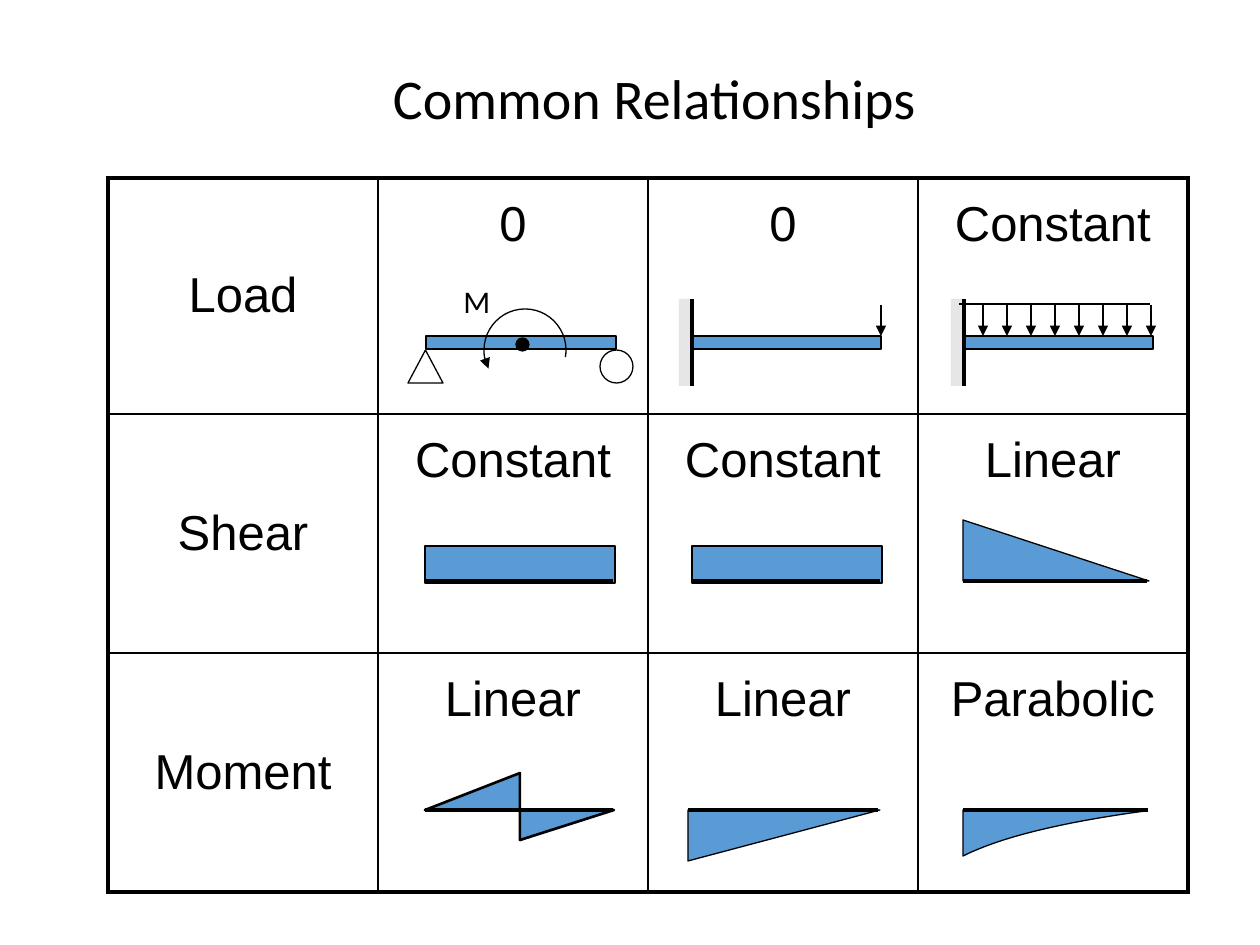
from pptx import Presentation, util as u
from pptx.dml.color import RGBColor
from pptx.enum import shapes as sh, text as tx
from pptx.oxml import parse_xml
from pptx.oxml.ns import nsdecls, qn

BLACK = RGBColor(0, 0, 0)
BLUE = RGBColor(0x5B, 0x9B, 0xD5)
GRAY = RGBColor(0xE7, 0xE6, 0xE6)
SCALE = 914400 / 126
THIN, MID, BOLD = 0.75, 1.5, 2.25
COL, ROWS = 270, (236, 239, 239)
WORDS = (
    ("Load", "0", "0", "Constant"),
    ("Shear", "Constant", "Constant", "Linear"),
    ("Moment", "Linear", "Linear", "Parabolic"),
)


def px(n):
    """Turn px into EMU."""
    return u.Emu(round(n * SCALE))


def paint(shape, fill, width):
    """Set the fill and outline of a shape."""
    shape.shadow.inherit = False
    if fill is None:
        shape.fill.background()
    else:
        shape.fill.solid()
        shape.fill.fore_color.rgb = fill
    if width:
        shape.line.color.rgb = BLACK
        shape.line.width = u.Pt(width)
    else:
        shape.line.fill.background()
    return shape


def form(slide, kind, x, y, w, h, fill=None, width=THIN):
    """Add a preset shape."""
    shape = slide.shapes.add_shape(kind, px(x), px(y), px(w), px(h))
    return paint(shape, fill, width)


def tip(shape, end):
    """Put a triangle arrowhead on a line end."""
    shape.line._get_or_add_ln().append(
        parse_xml(f'<a:{end} {nsdecls("a")} type="triangle"/>'))


def rule(slide, x, y, to_x, to_y, width=BOLD, arrow=False):
    """Add a straight line, with an arrowhead if asked."""
    line = slide.shapes.add_connector(
        sh.MSO_CONNECTOR.STRAIGHT, px(x), px(y), px(to_x), px(to_y))
    line.line.color.rgb = BLACK
    line.line.width = u.Pt(width)
    if arrow:
        tip(line, "tailEnd")
    line._element.spPr.append(parse_xml(f'<a:effectLst {nsdecls("a")}/>'))


def area(slide, x, y, points, width=THIN):
    """Add a closed blue outline with points relative to x, y."""
    spots = [(px(x + a), px(y + b)) for a, b in points]
    pen = slide.shapes.build_freeform(*spots[0], scale=1.0)
    pen.add_line_segments(spots[1:], close=True)
    paint(pen.convert_to_shape(), BLUE, width)


def write(frame, words, size, font, align):
    """Put one styled run in a text frame."""
    para = frame.paragraphs[0]
    para.alignment = align
    run = para.add_run()
    run.text = words
    run.font.size = u.Pt(size)
    run.font.name = font
    run.font.color.rgb = BLACK


def label(slide, x, y, w, h, words, size, align):
    """Add a text box."""
    frame = slide.shapes.add_textbox(px(x), px(y), px(w), px(h)).text_frame
    frame.word_wrap = True
    write(frame, words, size, "Calibri", align)


def edge(cell, side, width):
    """Draw one border of a cell."""
    line = parse_xml(
        f'<a:ln{side} {nsdecls("a")} w="{u.Pt(width)}"><a:solidFill>'
        f'<a:srgbClr val="{BLACK}"/></a:solidFill></a:ln{side}>')
    cell._tc.get_or_add_tcPr().append(line)


def grid(slide, x, y):
    """Add the table of loads, shears and moments."""
    last = len(WORDS) - 1, len(WORDS[0]) - 1
    table = slide.shapes.add_table(
        len(WORDS), len(WORDS[0]), px(x), px(y),
        px(COL * len(WORDS[0])), px(sum(ROWS))).table
    table.first_row = table.horz_banding = False
    for col in table.columns:
        col.width = px(COL)
    for r, row in enumerate(WORDS):
        table.rows[r].height = px(ROWS[r])
        for c, words in enumerate(row):
            cell = table.cell(r, c)
            outer = {"L": c == 0, "R": c == last[1],
                     "T": r == 0, "B": r == last[0]}
            for side, out in outer.items():
                edge(cell, side, BOLD if out else 1)
            cell.fill.background()
            if c == 0:
                cell.vertical_anchor = tx.MSO_ANCHOR.MIDDLE
            else:
                cell.margin_top = px(19)
            write(cell.text_frame, words, 28, "Arial", tx.PP_ALIGN.CENTER)


def couple(slide, x, y):
    """Draw a simple beam under a moment."""
    kind = sh.MSO_SHAPE
    form(slide, kind.ISOSCELES_TRIANGLE, x + 30, y + 172, 35, 33)
    form(slide, kind.OVAL, x + 222, y + 172, 33, 33)
    form(slide, kind.RECTANGLE, x + 48, y + 158, 190, 13, BLUE)
    turn = form(slide, kind.ARC, x + 106, y + 131, 82, 82)
    turn.adjustments[0], turn.adjustments[1] = 153 * 0.6, 10 * 0.6
    tip(turn, "headEnd")
    form(slide, kind.OVAL, x + 138, y + 160, 13, 13, BLACK)
    label(slide, x + 73, y + 98, 60, 50, "M", 18, tx.PP_ALIGN.LEFT)


def fixed(slide, x, y):
    """Draw a beam held by a wall whose face is at x."""
    form(slide, sh.MSO_SHAPE.RECTANGLE, x - 1, y + 158, 190, 13, BLUE)
    form(slide, sh.MSO_SHAPE.RECTANGLE, x - 13, y + 121, 13, 87, GRAY, 0)
    rule(slide, x, y + 121, x, y + 208)


def point(slide, x, y):
    """Draw a fixed beam with a load at its end."""
    fixed(slide, x + 44, y)
    rule(slide, x + 233, y + 127, x + 233, y + 158, THIN, True)


def spread(slide, x, y):
    """Draw a fixed beam with an even load."""
    fixed(slide, x + 46, y)
    for i in range(8):
        at = x + 65 + 24 * i
        rule(slide, at, y + 127, at, y + 158, THIN, True)
    rule(slide, x + 41, y + 126, x + 232, y + 126, THIN)


def level(slide, x, y):
    """Draw a constant shear from x."""
    form(slide, sh.MSO_SHAPE.RECTANGLE, x, y + 132, 190, 37, BLUE, MID)
    rule(slide, x, y + 167, x + 188, y + 167)


def slope(slide, x, y, tall, wide):
    """Draw a triangle on the axis at x, y."""
    area(slide, x, y, [(0, 0), (0, tall), (wide, 0)])
    rule(slide, x, y, x + wide - 2, y)


def jump(slide, x, y):
    """Draw a linear moment with a step."""
    area(slide, x, y, [(0, 0), (95, -37), (95, 30), (189, 0)], MID)
    rule(slide, x, y, x + 188, y)


def curve(slide, x, y):
    """Draw a parabolic moment on the axis at x, y."""
    steps = [i / 16 for i in range(17)]
    bend = [(112 * t * (1 - t) + 182 * t * t,
             46 * (1 - t) ** 2 + 36 * t * (1 - t) + t * t) for t in steps]
    area(slide, x, y, [(0, 0)] + bend)
    rule(slide, x, y, x + 185, y)


def main():
    """Build and save the slide."""
    deck = Presentation()
    deck.slide_width, deck.slide_height = px(1260), px(945)
    slide = deck.slides.add_slide(deck.slide_layouts[6])
    left, top = 108, 178
    one, two, three = (left + COL * i for i in (1, 2, 3))
    shear = top + ROWS[0]
    axis = shear + ROWS[1] + 157
    label(slide, 252, 57, 805, 79, "Common Relationships", 32,
          tx.PP_ALIGN.CENTER)
    grid(slide, left, top)
    couple(slide, one, top)
    point(slide, two, top)
    spread(slide, three, top)
    level(slide, one + 47, shear)
    level(slide, two + 44, shear)
    slope(slide, three + 45, shear + 167, -61, 186)
    jump(slide, one + 47, axis)
    slope(slide, two + 40, axis, 51, 192)
    curve(slide, three + 45, axis)
    deck.save("out.pptx")


if __name__ == "__main__":
    main()
